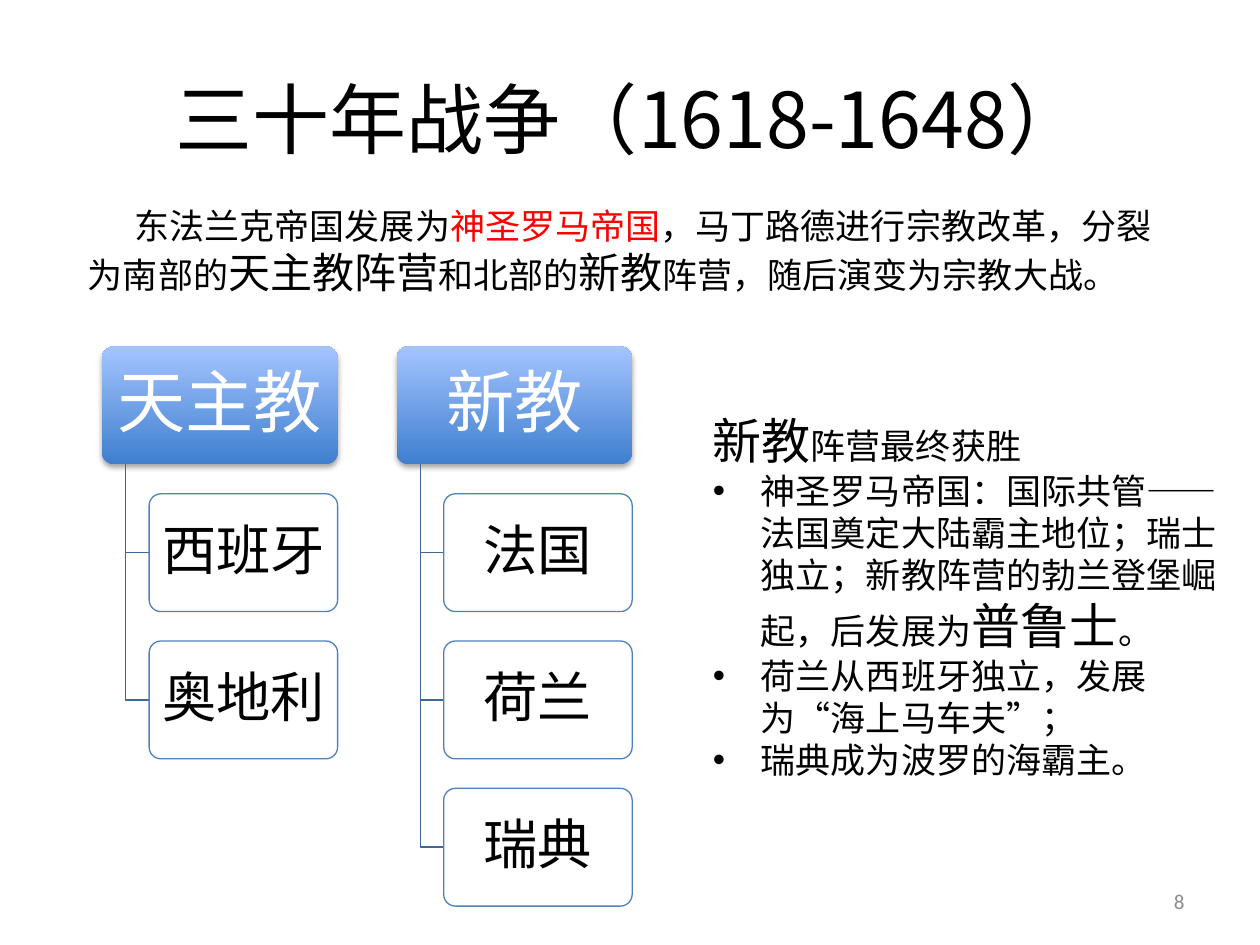
from dataclasses import dataclass

from lxml import etree
from pptx import Presentation
from pptx import util as u
from pptx.dml.color import RGBColor
from pptx.enum import shapes, text
from pptx.oxml import ns


@dataclass(frozen=True)
class Theme:
    """Colours, fonts and type sizes of the slide."""
    ink: str = "000000"
    paper: str = "FFFFFF"
    accent: str = "FF0000"
    muted: str = "8C8C8C"
    edge: str = "4F81BD"
    branch: str = "3F6797"
    gradient: tuple = ("3F7FCE", "A4C4FF")
    font: str = "Noto Sans CJK JP"
    number_font: str = "Calibri"
    title: int = 44
    head: int = 39
    leaf: int = 31
    strong: int = 28
    medium: int = 24
    body: int = 20
    small: int = 12


def sub(parent, tag, **attrs):
    """Append a DrawingML child element and return it."""
    return etree.SubElement(parent, ns.qn(tag), attrs)


class Deck:
    """Holds the theme and the current slide; places items as shares of its size."""

    def __init__(self, theme, width=10, height=7.5):
        """Start a presentation with one blank slide."""
        self.t = theme
        self.prs = Presentation()
        self.prs.slide_width, self.prs.slide_height = u.Inches(width), u.Inches(height)
        self.s = self.prs.slides.add_slide(self.prs.slide_layouts[6])

    def x(self, share):
        """Turn a share of the slide width into a length."""
        return u.Emu(round(self.prs.slide_width * share))

    def y(self, share):
        """Turn a share of the slide height into a length."""
        return u.Emu(round(self.prs.slide_height * share))

    def runs(self, p, parts, size, color=None, font=None):
        """Fill a paragraph with (wording, size, colour) parts."""
        for wording, *style in parts:
            own_size, own_color = (style + [None, None])[:2]
            r = p.add_run()
            r.text = wording
            r.font.size = u.Pt(own_size or size)
            r.font.color.rgb = RGBColor.from_string(own_color or color or self.t.ink)
            r.font.name = font or self.t.font
            sub(r._r.get_or_add_rPr(), "a:ea", typeface=font or self.t.font)

    def text(self, box, paragraphs, size, align=None, middle=False, color=None, font=None):
        """Add a wrapped text box and return its paragraphs."""
        x, y, w, h = box
        tf = self.s.shapes.add_textbox(self.x(x), self.y(y), self.x(w), self.y(h)).text_frame
        tf.word_wrap = True
        tf.vertical_anchor = text.MSO_ANCHOR.MIDDLE if middle else text.MSO_ANCHOR.TOP
        if not middle:
            tf.auto_size = text.MSO_AUTO_SIZE.SHAPE_TO_FIT_TEXT
        for i, parts in enumerate(paragraphs):
            p = tf.add_paragraph() if i else tf.paragraphs[0]
            p.alignment = align
            self.runs(p, parts, size, color, font)
        return tf.paragraphs

    def indent(self, p, first, left=0, bullet=None):
        """Set the indents of a paragraph, with an optional bullet."""
        pr = p._p.get_or_add_pPr()
        pr.set("marL", str(u.Inches(left)))
        pr.set("indent", str(u.Inches(first)))
        if bullet:
            sub(pr, "a:buFont", typeface="Arial")
            sub(pr, "a:buChar", char=bullet)

    def card(self, x, y, w, h, label, size, color):
        """Add a rounded card with a centred label."""
        sp = self.s.shapes.add_shape(shapes.MSO_SHAPE.ROUNDED_RECTANGLE, x, y, w, h)
        sp.adjustments[0] = 0.1
        sp.shadow.inherit = False
        tf = sp.text_frame
        tf.margin_left = tf.margin_right = 0
        tf.vertical_anchor = text.MSO_ANCHOR.MIDDLE
        p = tf.paragraphs[0]
        p.alignment, p.line_spacing = text.PP_ALIGN.CENTER, 0.9
        self.runs(p, [(label,)], size, color)
        return sp

    def head(self, x, y, w, h, label):
        """Add a shaded card with a soft shadow."""
        sp = self.card(x, y, w, h, label, self.t.head, self.t.paper)
        sp.fill.gradient()
        sp.fill.gradient_angle = 90
        for stop, color, place in zip(sp.fill.gradient_stops, self.t.gradient, (0, 1)):
            stop.color.rgb, stop.position = RGBColor.from_string(color), place
        sp.line.fill.background()
        shadow = sub(sp._element.spPr.find(ns.qn("a:effectLst")), "a:outerShdw",
                     blurRad=str(u.Pt(3.1)), dist=str(u.Pt(1.8)), dir="5400000", rotWithShape="0")
        sub(sub(shadow, "a:srgbClr", val=self.t.ink), "a:alpha", val="35000")

    def leaf(self, x, y, w, h, label):
        """Add an outlined card."""
        sp = self.card(x, y, w, h, label, self.t.leaf, self.t.ink)
        sp.fill.solid()
        sp.fill.fore_color.rgb = RGBColor.from_string(self.t.paper)
        sp.line.color.rgb = RGBColor.from_string(self.t.edge)
        sp.line.width = u.Pt(0.75)

    def elbow(self, x, y, to_x, to_y):
        """Add a branch going down, then right."""
        fb = self.s.shapes.build_freeform(x, y)
        fb.add_line_segments([(x, to_y), (to_x, to_y)], close=False)
        sp = fb.convert_to_shape()
        sp.shadow.inherit = False
        sp.fill.background()
        sp.line.color.rgb = RGBColor.from_string(self.t.branch)
        sp.line.width = u.Pt(0.75)

    def tree(self, left, top, width, groups):
        """Add one column per group: a head card and its leaves."""
        w, y0 = self.x(width), self.y(top)
        h = w // 2
        for col, (label, leaves) in enumerate(groups):
            x = self.x(left) + round(1.25 * w * col)
            leaf_x = x + w // 5
            self.head(x, y0, w, h, label)
            for row, name in enumerate(leaves, 1):
                y = y0 + round(1.25 * h * row)
                self.elbow(x + w // 10, y0 + h, leaf_x, y + h // 2)
                self.leaf(leaf_x, y, w * 4 // 5, h, name)


def main():
    """Build the slide and save it."""
    t = Theme()
    d = Deck(t)
    d.text((0.05, 0.04, 0.9, 0.17), [[("三十年战争（1618-1648）",)]], t.title,
           text.PP_ALIGN.CENTER, middle=True)
    intro = d.text((0.06, 0.21, 0.89, 0.11), [[
        ("东法兰克帝国发展为",), ("神圣罗马帝国", t.body, t.accent),
        ("，马丁路德进行宗教改革，分裂为南部的",), ("天主教阵营", t.medium),
        ("和北部的",), ("新教", t.medium), ("阵营，随后演变为宗教大战。",)]], t.body)
    d.indent(intro[0], 0.37)
    d.tree(0.81 / 10, 2.75 / 7.5, 1.87 / 10, [("天主教", ["西班牙", "奥地利"]),
                                              ("新教", ["法国", "荷兰", "瑞典"])])
    result = d.text((5.56 / 10, 3.21 / 7.5, 4.28 / 10, 3.4 / 7.5), [
        [("新教", t.strong), ("阵营最终获胜",)],
        [("神圣罗马帝国：国际共管——法国奠定大陆霸主地位；瑞士独立；新教阵营的勃兰登堡崛起，后发展为",),
         ("普鲁士", t.strong), ("。",)],
        [("荷兰从西班牙独立，发展为“海上马车夫”；",)],
        [("瑞典成为波罗的海霸主。",)]], t.body)
    for p in result[1:]:
        d.indent(p, -0.38, 0.38, "•")
    d.text((0.72, 6.95 / 7.5, 0.23, 0.4 / 7.5), [[("8",)]], t.small, text.PP_ALIGN.RIGHT,
           middle=True, color=t.muted, font=t.number_font)
    d.prs.save("out.pptx")


if __name__ == "__main__":
    main()
